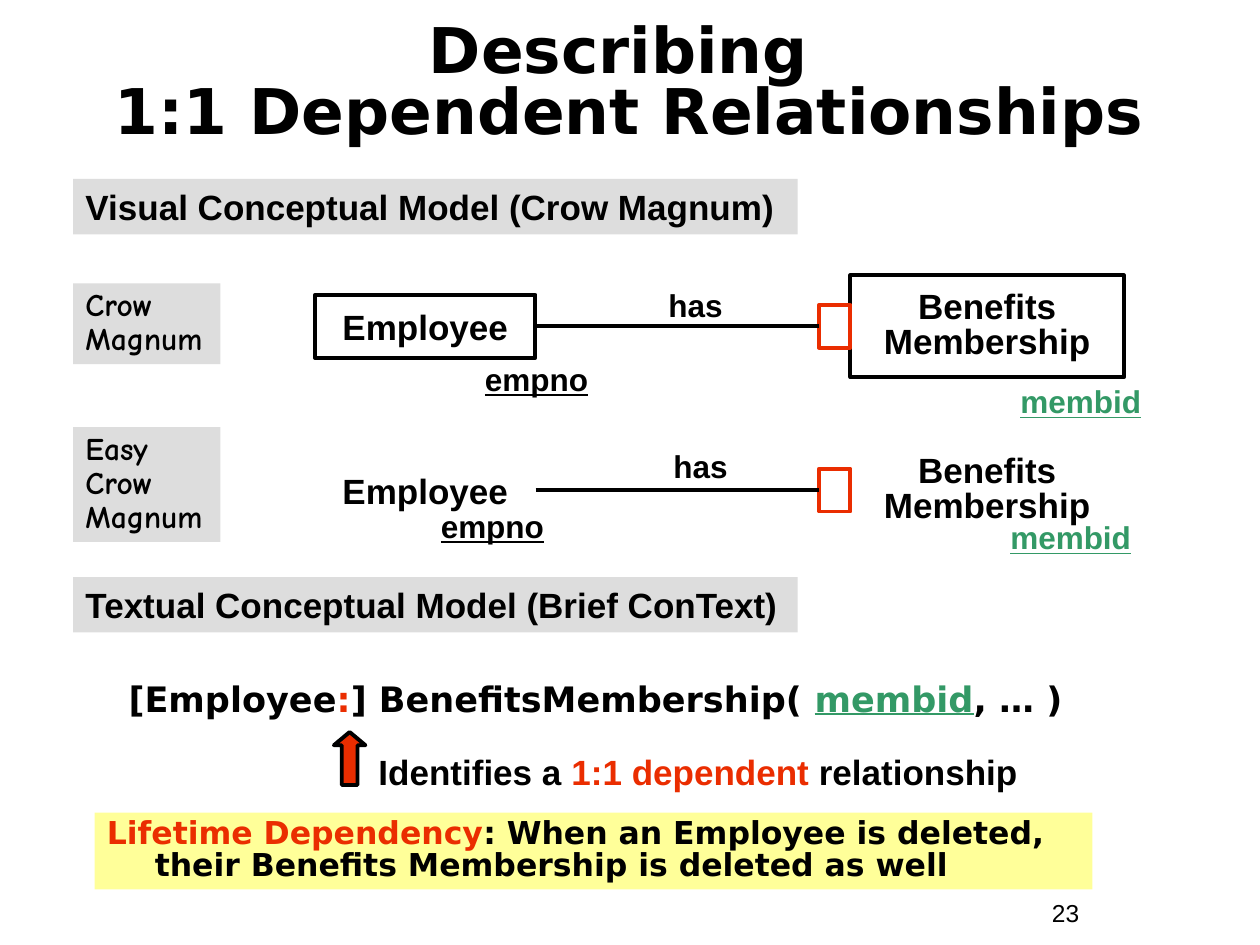
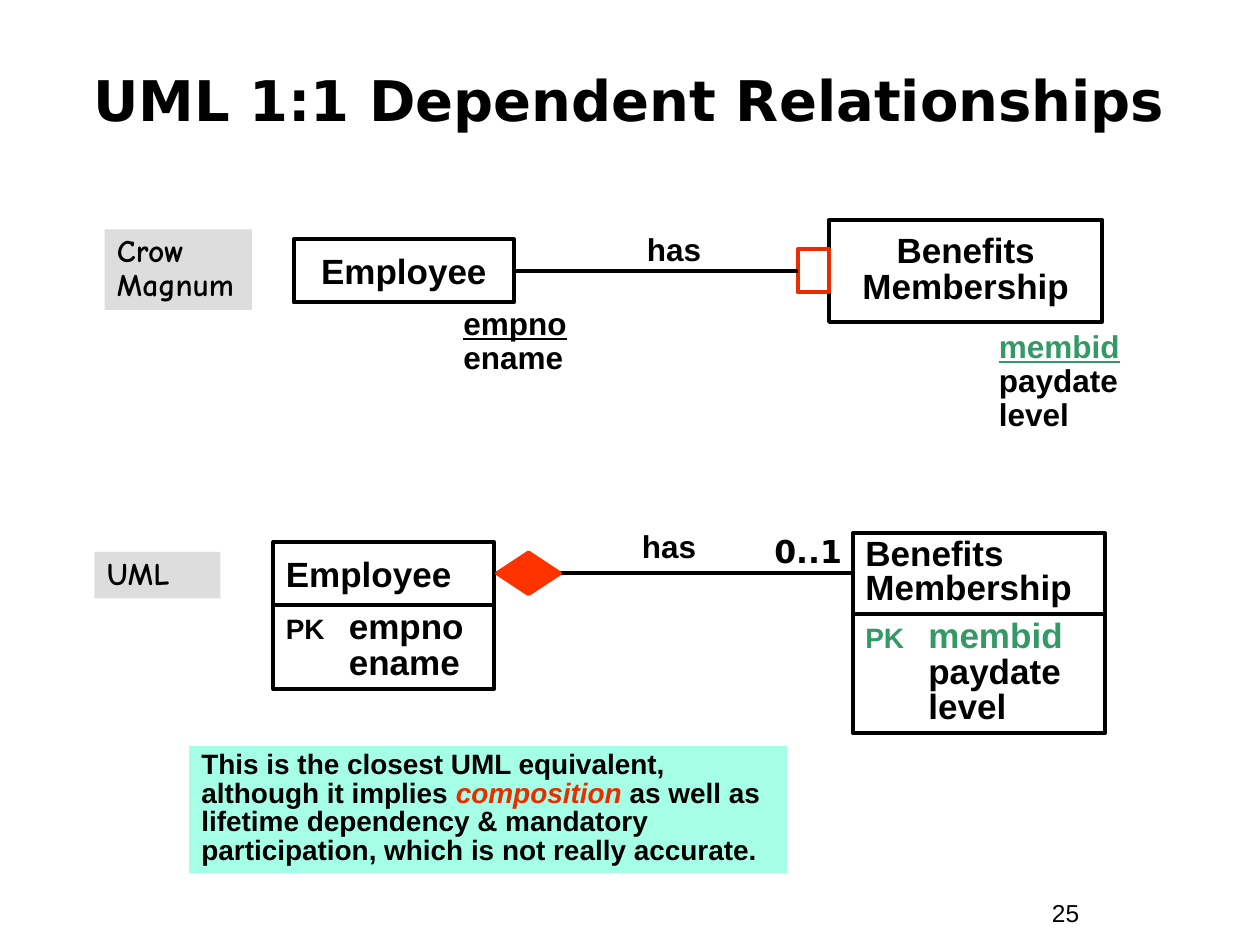
from dataclasses import dataclass, field
from typing import Any, Optional

from lxml import etree
from pptx import Presentation
from pptx.dml.color import RGBColor
from pptx.enum.shapes import MSO_CONNECTOR, MSO_SHAPE
from pptx.enum.text import MSO_ANCHOR, MSO_AUTO_SIZE, PP_ALIGN
from pptx.oxml.ns import qn
from pptx.util import Inches, Pt

LEFT, CENTER = PP_ALIGN.LEFT, PP_ALIGN.CENTER
TOP, MIDDLE = MSO_ANCHOR.TOP, MSO_ANCHOR.MIDDLE
RECT, ARROW, SORT = MSO_SHAPE.RECTANGLE, MSO_SHAPE.UP_ARROW, MSO_SHAPE.FLOWCHART_SORT
STRAIGHT, NO_FIT = MSO_CONNECTOR.STRAIGHT, MSO_AUTO_SIZE.NONE
SITE_LEFT, SITE_RIGHT = 1, 3


@dataclass(frozen=True)
class Theme:
    ink: str = "000000"
    red: str = "EA2D00"
    gem: str = "FF3300"
    green: str = "339966"
    gray: str = "DDDDDD"
    yellow: str = "FFFF99"
    mint: str = "A5FFE7"
    sans: str = "Arial"
    wide: str = "DejaVu Sans"
    hand: str = "Comic Neue"
    head: int = 36
    subhead: int = 32
    large: int = 20
    mid: int = 18
    small: int = 16
    foot: int = 14
    stroke: float = 2.25


T = Theme()


@dataclass(frozen=True)
class Area:
    x: float
    y: float
    w: float
    h: float


@dataclass(frozen=True)
class Run:
    text: str
    color: str = T.ink
    form: dict[str, Any] = field(default_factory=dict)


@dataclass(frozen=True)
class Style:
    size: int = T.large
    font: str = T.sans
    align: Any = LEFT
    anchor: Any = TOP
    space: float = 1.0
    bold: bool = True
    hang: float = 0
    tab: float = 0


NAME = Style(align=CENTER, anchor=MIDDLE)
NAME2 = Style(align=CENTER, anchor=MIDDLE, space=0.85)
HEAD = Style()
TAG = Style(T.mid, T.hand, space=0.9)
VERB = Style(T.mid, align=CENTER)
KEYS = Style(T.mid, space=0.9)
COLUMNS = Style(space=0.85, tab=0.5)
UNDER = {"underline": True}
EMPNO = Run("empno", form=UNDER)
MEMBID = Run("membid", T.green, UNDER)
PARTNER = "Benefits\nMembership"

Lines = list[list[Run]]


@dataclass(frozen=True)
class Row:
    """A Crow Magnum row; label places are offsets from the Employee box."""
    x: float
    y: float
    boxed: bool
    verb: tuple[float, float]
    key: tuple[float, float]
    child: tuple[float, float]
    keys: Lines
    fields: Lines


@dataclass(frozen=True)
class Entity:
    """A UML class: a name box over a box of fields."""
    name: str
    area: Area
    depth: float
    style: Style
    fields: Lines


def plain(text: str) -> Lines:
    return [[Run(text)]]


def place(shape: Any, area: Area) -> None:
    for name, value in zip(("left", "top", "width", "height"),
                           (area.x, area.y, area.w, area.h)):
        setattr(shape, name, Inches(value))


def indent(para: Any, style: Style) -> None:
    props = para._p.get_or_add_pPr()
    if style.hang:
        props.set("marL", str(Inches(style.hang)))
        props.set("indent", str(-Inches(style.hang)))
        etree.SubElement(props, qn("a:buNone"))
    if style.tab:
        tabs = etree.SubElement(props, qn("a:tabLst"))
        etree.SubElement(tabs, qn("a:tab"), pos=str(Inches(style.tab)), algn="l")


def write(shape: Any, lines: Lines, style: Style) -> None:
    frame = shape.text_frame
    for name, value in {"word_wrap": True, "auto_size": NO_FIT,
                        "vertical_anchor": style.anchor}.items():
        setattr(frame, name, value)
    for i, line in enumerate(lines):
        para = frame.add_paragraph() if i else frame.paragraphs[0]
        indent(para, style)
        for name, value in {"alignment": style.align, "line_spacing": style.space,
                            "space_before": Pt(0)}.items():
            setattr(para, name, value)
        for part in line:
            for j, piece in enumerate(part.text.split("\n")):
                if j:
                    para.add_line_break()
                run = para.add_run()
                run.text = piece
                form = {"name": style.font, "size": Pt(style.size),
                        "bold": style.bold} | part.form
                for name, value in form.items():
                    setattr(run.font, name, value)
                run.font.color.rgb = RGBColor.from_string(part.color)


def label(slide: Any, area: Area, lines: Lines, style: Style) -> Any:
    box = slide.shapes.add_textbox(0, 0, 0, 0)
    place(box, area)
    write(box, lines, style)
    return box


def block(slide: Any, area: Area, fill: Optional[str] = None,
          line: Optional[str] = None, kind: Any = RECT) -> Any:
    shape = slide.shapes.add_shape(kind, 0, 0, 0, 0)
    place(shape, area)
    shape.shadow.inherit = False
    if fill:
        shape.fill.solid()
        shape.fill.fore_color.rgb = RGBColor.from_string(fill)
    else:
        shape.fill.background()
    if line:
        shape.line.color.rgb = RGBColor.from_string(line)
        shape.line.width = Pt(T.stroke)
    else:
        shape.line.fill.background()
    return shape


def panel(slide: Any, area: Area, fill: str, lines: Lines, style: Style) -> None:
    write(block(slide, area, fill), lines, style)


def frame(slide: Any, area: Area, lines: Lines, style: Style) -> Any:
    shape = block(slide, area, line=T.ink)
    write(shape, lines, style)
    return shape


def join(slide: Any, start: Any, end: Any) -> None:
    """Link the right side of start to the left side of end."""
    link = slide.shapes.add_connector(STRAIGHT, 0, 0, 0, 0)
    link.begin_connect(start, SITE_RIGHT)
    link.end_connect(end, SITE_LEFT)
    link.line.color.rgb = RGBColor.from_string(T.ink)
    link.line.width = Pt(T.stroke)
    etree.SubElement(link._element.spPr, qn("a:effectLst"))


def crow(slide: Any, row: Row) -> None:
    draw = frame if row.boxed else label
    mid, high = row.y + 0.25, 0.81
    owner = draw(slide, Area(row.x, row.y, 1.75, 0.5), plain("Employee"), NAME)
    draw(slide, Area(row.x + 4.25, mid - high / 2, 2.17, high), plain(PARTNER), NAME2)
    mark = block(slide, Area(row.x + 4, mid - 0.17, 0.25, 0.34), line=T.red)
    join(slide, owner, mark)
    for (dx, dy), width, lines, style in (
            (row.verb, 1.88, plain("has"), VERB),
            (row.key, 1.17, row.keys, KEYS),
            (row.child, 1.17, row.fields, KEYS)):
        high = 0.1 + 0.27 * len(lines)
        label(slide, Area(row.x + dx, row.y + dy, width, high), lines, style)


def entity(slide: Any, item: Entity) -> Any:
    area = item.area
    name = frame(slide, area, plain(item.name), item.style)
    below = Area(area.x, area.y + area.h, area.w, item.depth)
    frame(slide, below, item.fields, COLUMNS)
    return name


def start(deck: Any, layout: int, title: str, y: float, style: Style, page: str) -> Any:
    slide = deck.slides.add_slide(deck.slide_layouts[layout])
    place(slide.shapes.title, Area(0.33, y, 9.33, 0.92))
    write(slide.shapes.title, plain(title), style)
    label(slide, Area(8.25, 7.08, 0.92, 0.34), plain(page), Style(T.foot, bold=False))
    return slide


def describe(deck: Any) -> None:
    slide = start(deck, 1, "Describing \n1:1 Dependent Relationships", 0.22,
                  Style(T.head, T.wide, CENTER, MIDDLE, 0.8), "23")
    body = slide.placeholders[1]
    place(body, Area(0.92, 5.42, 8.42, 0.58))
    write(body, [[Run("[Employee"), Run(":", T.red), Run("] BenefitsMembership( "),
                  MEMBID, Run(", … )")]],
          Style(font=T.wide, space=0.7, hang=0.38))
    for y, text in ((1.42, "Visual Conceptual Model (Crow Magnum)"),
                    (4.58, "Textual Conceptual Model (Brief ConText)")):
        panel(slide, Area(0.58, y, 5.75, 0.44), T.gray, plain(text), HEAD)
    for y, high, text in ((2.25, 0.64, "Crow\nMagnum"),
                          (3.39, 0.91, "Easy\nCrow\nMagnum")):
        panel(slide, Area(0.58, y, 1.17, high), T.gray, plain(text), TAG)
    keys, fields = [[EMPNO]], [[MEMBID]]
    crow(slide, Row(2.5, 2.34, True, (2.08, -0.12), (1.25, 0.5), (5.5, 0.68),
                    keys, fields))
    crow(slide, Row(2.5, 3.64, False, (2.12, -0.14), (0.9, 0.37), (5.42, 0.46),
                    keys, fields))
    arrow = block(slide, Area(2.65, 5.81, 0.25, 0.42), T.red, T.ink, ARROW)
    arrow.adjustments[1] = 0.42
    label(slide, Area(2.83, 5.97, 5.42, 0.37),
          [[Run("Identifies a "), Run("1:1 dependent", T.red), Run(" relationship")]],
          Style(align=CENTER, space=0.8))
    panel(slide, Area(0.75, 6.45, 7.92, 0.61), T.yellow,
          [[Run("Lifetime Dependency", T.red),
            Run(": When an Employee is deleted, \n"
                "their Benefits Membership is deleted as well")]],
          Style(T.mid, T.wide, space=0.85, hang=0.38))


def compare(deck: Any) -> None:
    slide = start(deck, 5, "UML 1:1 Dependent Relationships", 0.33,
                  Style(T.subhead, T.wide, CENTER, MIDDLE), "25")
    panel(slide, Area(0.83, 1.82, 1.17, 0.64), T.gray, plain("Crow\nMagnum"), TAG)
    panel(slide, Area(0.75, 4.38, 1, 0.37), T.gray, plain("UML"), TAG)
    crow(slide, Row(2.33, 1.9, True, (2.08, -0.12), (1.25, 0.5), (5.5, 0.68),
                    [[EMPNO], [Run("ename")]],
                    [[MEMBID], [Run("paydate")], [Run("level")]]))
    small = {"size": Pt(T.small)}
    owner = entity(slide, Entity(
        "Employee", Area(2.17, 4.3, 1.75, 0.5), 0.67, Style(anchor=MIDDLE),
        [[Run("PK", form=small), Run("\tempno")], [Run("\tename")]]))
    child = entity(slide, Entity(
        PARTNER, Area(6.77, 4.23, 2, 0.64), 0.95, Style(anchor=MIDDLE, space=0.8),
        [[Run("PK", T.green, small), Run("\tmembid", T.green)],
         [Run("\tpaydate")], [Run("\tlevel")]]))
    join(slide, owner, child)
    gem = block(slide, Area(4.03, 4.3, 0.33, 0.5), T.gem, T.gem, SORT)
    gem.rotation = 270
    label(slide, Area(4.68, 4.18, 1.26, 0.36), plain("has"),
          Style(T.mid, align=CENTER, space=0.85))
    label(slide, Area(6, 4.17, 0.83, 0.4), plain("0..1"),
          Style(T.mid, T.wide, CENTER))
    panel(slide, Area(1.5, 5.92, 4.75, 1.01), T.mint,
          [[Run("This is the closest UML equivalent, although it implies "),
            Run("composition", T.red, {"italic": True}),
            Run(" as well as lifetime dependency & mandatory participation, "
                "which is not really accurate.")]],
          Style(T.small, space=0.85))


def main() -> None:
    deck = Presentation()
    deck.slide_width, deck.slide_height = Inches(10), Inches(7.5)
    describe(deck)
    compare(deck)
    deck.save("out.pptx")


if __name__ == "__main__":
    main()
